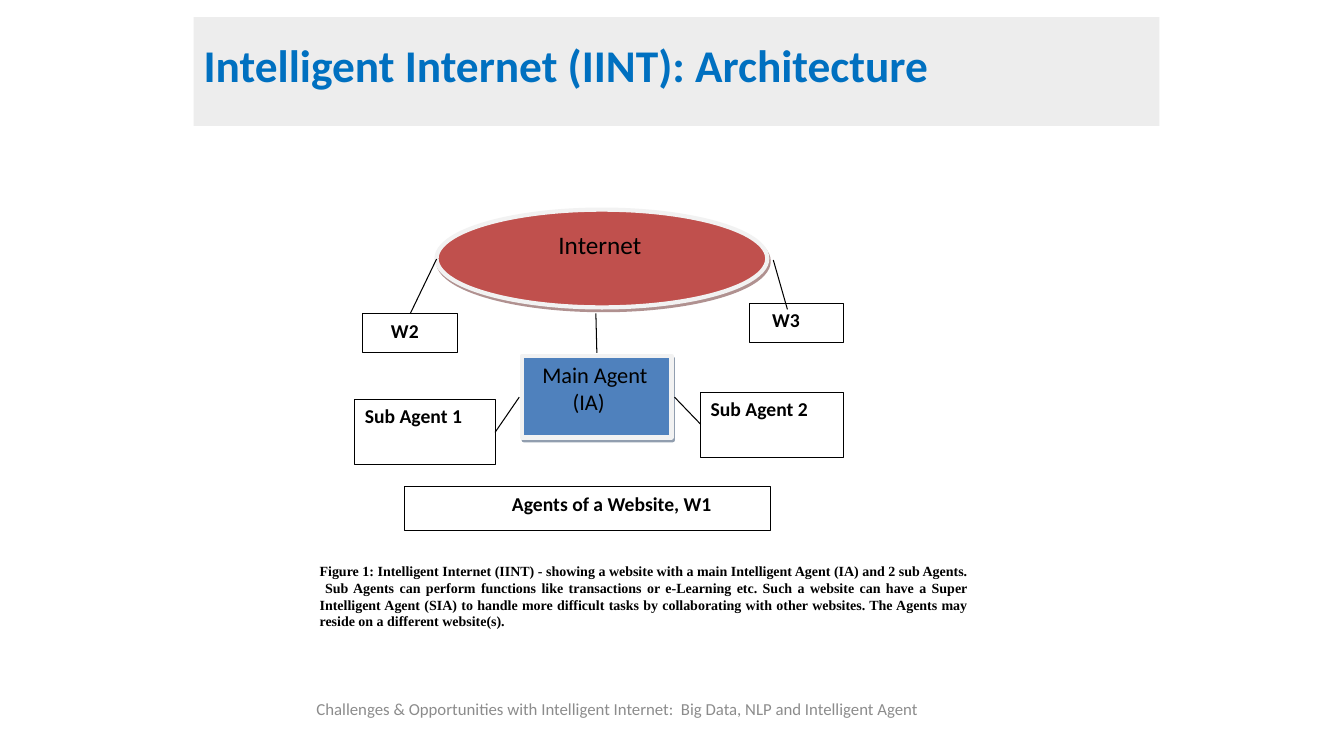
from dataclasses import dataclass

from lxml import etree
from pptx import Presentation
from pptx.dml.color import RGBColor
from pptx.enum import shapes, text
from pptx.oxml.ns import qn
from pptx.util import Inches, Pt


@dataclass(frozen=True)
class Theme:
    ink: str = "000000"
    paper: str = "FFFFFF"
    band: str = "EDEDED"
    head: str = "0070C0"
    rim: str = "F2F2F2"
    net: str = "C0504D"
    netdark: str = "622423"
    agent: str = "4F81BD"
    agentdark: str = "243F60"
    mute: str = "8C8C8C"
    sans: str = "Calibri"
    serif: str = "Times New Roman"
    big: float = 32.4
    mid: float = 18
    main: float = 16
    label: float = 14
    small: float = 12
    note: float = 10


T = Theme()
RECT = shapes.MSO_SHAPE.RECTANGLE
OVAL = shapes.MSO_SHAPE.OVAL
LEFT = text.PP_ALIGN.LEFT


def put(obj, vals):
    for key, val in vals.items():
        setattr(obj, key, val)


def paint(shape, color):
    shape.fill.solid()
    shape.fill.fore_color.rgb = RGBColor.from_string(color)


def write(shape, lines, size, color=T.ink, bold=False, font=T.sans,
          indents=(0,), frame=None, para=None):
    """Fill a shape with one paragraph per line, each with its own indent."""
    tf = shape.text_frame
    put(tf, {"word_wrap": True, "vertical_anchor": text.MSO_ANCHOR.TOP,
             **(frame or {})})
    tf.text = "\n".join(lines)
    for par, dent in zip(tf.paragraphs, indents):
        put(par, {"alignment": LEFT, **(para or {})})
        if dent:
            par._p.get_or_add_pPr().set("marL", str(Inches(dent)))
        for run in par.runs:
            put(run.font, {"size": Pt(size), "bold": bold, "name": font})
            run.font.color.rgb = RGBColor.from_string(color)


def block(slide, kind, box, fill, line=T.ink, width=0.75, shade=None):
    shape = slide.shapes.add_shape(kind, *map(Inches, box))
    paint(shape, fill)
    if line:
        shape.line.color.rgb = RGBColor.from_string(line)
        shape.line.width = Pt(width)
    else:
        shape.line.fill.background()
    shape.shadow.inherit = False
    if shade:
        fx = shape._element.spPr.find(qn("a:effectLst"))
        drop = etree.SubElement(fx, qn("a:outerShdw"), blurRad="0",
                                dist=str(Pt(2.2)), dir=str(63 * 60000),
                                algn="ctr", rotWithShape="0")
        tint = etree.SubElement(drop, qn("a:srgbClr"), val=shade)
        etree.SubElement(tint, qn("a:alpha"), val="50000")
    return shape


def link(slide, start, end):
    line = slide.shapes.add_connector(
        shapes.MSO_CONNECTOR.STRAIGHT, *map(Inches, (*start, *end)))
    line.line.color.rgb = RGBColor.from_string(T.ink)
    line.line.width = Pt(0.75)
    etree.SubElement(line._element.spPr, qn("a:effectLst"))


def header(slide, box):
    title = slide.shapes.title
    put(title, dict(zip(("left", "top", "width", "height"), map(Inches, box))))
    paint(title, T.band)
    write(title, ["Intelligent Internet (IINT): Architecture"], T.big, T.head, True,
          frame={"vertical_anchor": text.MSO_ANCHOR.MIDDLE,
                 "auto_size": text.MSO_AUTO_SIZE.NONE,
                 "margin_bottom": Inches(0.12)},
          para={"line_spacing": 0.9})


def diagram(slide, box):
    x, y = box[:2]

    # Main agent and the network above it
    nodes = [
        (RECT, (1.66, 1.45, 1.48, 0.81), T.agent, T.agentdark,
         ["Main Agent", "(IA)"], T.main, (0.1, 0.4), 0),
        (OVAL, (0.81, 0, 3.28, 0.97), T.net, T.netdark,
         ["Internet"], T.mid, (0.63,), 10),
    ]
    for kind, (dx, dy, w, h), fill, shade, lines, size, dents, gap in nodes:
        node = block(slide, kind, (x + dx, y + dy, w, h), fill, T.rim, 3, shade)
        write(node, lines, size, indents=dents, para={"space_after": Pt(gap)})

    # Outlined boxes: label, place, indent
    cards = [
        ("Sub Agent 2", (3.43, 1.81, 1.42, 0.65), 0),
        ("Sub Agent 1", (0, 1.88, 1.39, 0.65), 0),
        ("Agents of a Website, W1", (0.49, 2.75, 3.63, 0.43), 0.97),
        ("W2", (0.08, 1.03, 0.94, 0.39), 0.18),
        ("W3", (3.91, 0.93, 0.94, 0.39), 0.13),
    ]
    for label, (dx, dy, w, h), dent in cards:
        card = block(slide, RECT, (x + dx, y + dy, w, h), T.paper)
        write(card, [label], T.label, bold=True, indents=(dent,))

    # Links between the boxes
    ends = [
        ((1.39, 2.21), (1.63, 1.86)),
        ((3.43, 2.13), (3.17, 1.86)),
        ((2.4, 1.42), (2.39, 1.03)),
        ((4.29, 0.99), (4.15, 0.5)),
        ((0.55, 1.03), (0.81, 0.49)),
    ]
    for (ax, ay), (bx, by) in ends:
        link(slide, (x + ax, y + ay), (x + bx, y + by))


def caption(slide, box):
    note = block(slide, RECT, box, T.paper, None)
    words = (
        "Figure 1: Intelligent Internet (IINT) - showing a website with a main "
        "Intelligent Agent (IA) and 2 sub Agents.  Sub Agents can perform "
        "functions like transactions or e-Learning etc. Such a website can have "
        "a Super Intelligent Agent (SIA) to handle more difficult tasks by "
        "collaborating with other websites. The Agents may reside on a "
        "different website(s).")
    sides = ("left", "top", "right", "bottom")
    write(note, [words], T.note, bold=True, font=T.serif,
          frame={f"margin_{side}": 0 for side in sides},
          para={"alignment": text.PP_ALIGN.JUSTIFY})


def footer(slide, box):
    foot = slide.shapes.add_textbox(*map(Inches, box))
    write(foot, ["Challenges & Opportunities with Intelligent Internet:  "
                 "Big Data, NLP and Intelligent Agent"], T.small, T.mute,
          frame={"vertical_anchor": text.MSO_ANCHOR.MIDDLE},
          para={"alignment": text.PP_ALIGN.CENTER})


def main():
    deck = Presentation()
    put(deck, {"slide_width": Inches(13.33), "slide_height": Inches(7.5)})
    slide = deck.slides.add_slide(deck.slide_layouts[5])
    header(slide, (1.92, 0.17, 9.58, 1.08))
    diagram(slide, (3.52, 2.08, 4.85, 3.18))
    caption(slide, (3.17, 5.58, 6.42, 0.67))
    footer(slide, (2.5, 6.83, 7.25, 0.4))
    deck.save("out.pptx")


if __name__ == "__main__":
    main()
